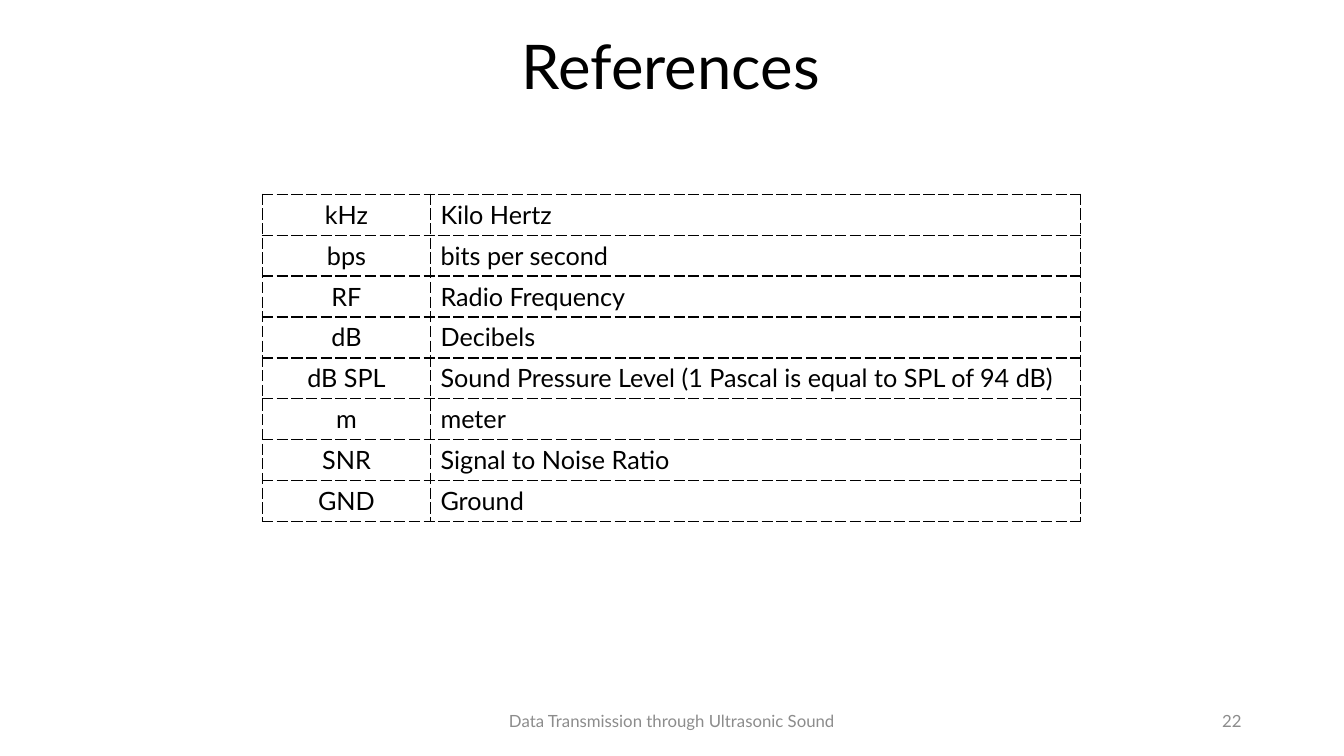
import dataclasses

import lxml.etree
import pptx
import pptx.dml.color
import pptx.enum.text
import pptx.oxml.ns
import pptx.presentation
import pptx.slide
import pptx.table
import pptx.text.text
import pptx.util

EMU_PER_PX = 9525
FONT = "Lato"
BLACK, GREY, WHITE = "000000", "8C8C8C", "FFFFFF"
ALIGN = pptx.enum.text.PP_ALIGN


@dataclasses.dataclass(frozen=True)
class Label:
    text: str
    left: int
    top: int
    width: int
    height: int
    size: int
    color: str
    align: ALIGN
    line_spacing: float = 1.0


LABELS = [
    Label("References", 93, 21, 1092, 90, 44, BLACK, ALIGN.CENTER, 0.9),
    Label("22", 904, 667, 288, 38, 12, GREY, ALIGN.RIGHT),
    Label("Data Transmission through Ultrasonic Sound",
          424, 667, 432, 38, 12, GREY, ALIGN.CENTER),
]

ABBREVIATIONS = [
    ("kHz", "Kilo Hertz"),
    ("bps", "bits per second"),
    ("RF", "Radio Frequency"),
    ("dB", "Decibels"),
    ("dB SPL", "Sound Pressure Level (1 Pascal is equal to SPL of 94 dB)"),
    ("m", "meter"),
    ("SNR", "Signal to Noise Ratio"),
    ("GND", "Ground"),
]
TABLE_LEFT, TABLE_TOP = 250, 185
COLUMN_WIDTHS = (160, 619)
COLUMN_ALIGNS = (ALIGN.CENTER, ALIGN.LEFT)
ROW_HEIGHT = 39


def px(length: int) -> pptx.util.Emu:
    return pptx.util.Emu(length * EMU_PER_PX)


def rgb(color: str) -> pptx.dml.color.RGBColor:
    return pptx.dml.color.RGBColor.from_string(color)


def write(frame: pptx.text.text.TextFrame, text: str, size: int, color: str,
          align: ALIGN, line_spacing: float = 1.0) -> None:
    paragraph = frame.paragraphs[0]
    paragraph.alignment = align
    paragraph.line_spacing = line_spacing
    run = paragraph.add_run()
    run.text = text
    run.font.name = FONT
    run.font.size = pptx.util.Pt(size)
    run.font.color.rgb = rgb(color)


def add_label(slide: pptx.slide.Slide, label: Label) -> None:
    box = slide.shapes.add_textbox(
        px(label.left), px(label.top), px(label.width), px(label.height))
    frame = box.text_frame
    frame.word_wrap = True
    frame.vertical_anchor = pptx.enum.text.MSO_ANCHOR.MIDDLE
    write(frame, label.text, label.size, label.color, label.align,
          label.line_spacing)


def add_dashed_borders(cell: pptx.table._Cell) -> None:
    """Give all four sides a dashed line, placed before the fill as the schema asks."""
    qn = pptx.oxml.ns.qn
    properties = cell._tc.get_or_add_tcPr()
    for position, side in enumerate(("lnL", "lnR", "lnT", "lnB")):
        line = lxml.etree.Element(qn(f"a:{side}"), w=str(pptx.util.Pt(1)))
        fill = lxml.etree.SubElement(line, qn("a:solidFill"))
        lxml.etree.SubElement(fill, qn("a:srgbClr"), val=BLACK)
        lxml.etree.SubElement(line, qn("a:prstDash"), val="sysDash")
        properties.insert(position, line)


def add_abbreviations(slide: pptx.slide.Slide) -> None:
    table = slide.shapes.add_table(
        len(ABBREVIATIONS), len(COLUMN_WIDTHS), px(TABLE_LEFT), px(TABLE_TOP),
        px(sum(COLUMN_WIDTHS)), px(ROW_HEIGHT * len(ABBREVIATIONS))).table
    table.first_row = False
    table.horz_banding = False
    for column, width in zip(table.columns, COLUMN_WIDTHS):
        column.width = px(width)
    for row, texts in zip(table.rows, ABBREVIATIONS):
        row.height = px(ROW_HEIGHT)
        for cell, text, align in zip(row.cells, texts, COLUMN_ALIGNS):
            cell.fill.solid()
            cell.fill.fore_color.rgb = rgb(WHITE)
            add_dashed_borders(cell)
            write(cell.text_frame, text, 18, BLACK, align)


def main() -> None:
    deck = pptx.Presentation()
    deck.slide_width, deck.slide_height = px(1280), px(720)
    slide = deck.slides.add_slide(deck.slide_layouts[6])
    for label in LABELS:
        add_label(slide, label)
    add_abbreviations(slide)
    deck.save("out.pptx")


if __name__ == "__main__":
    main()
